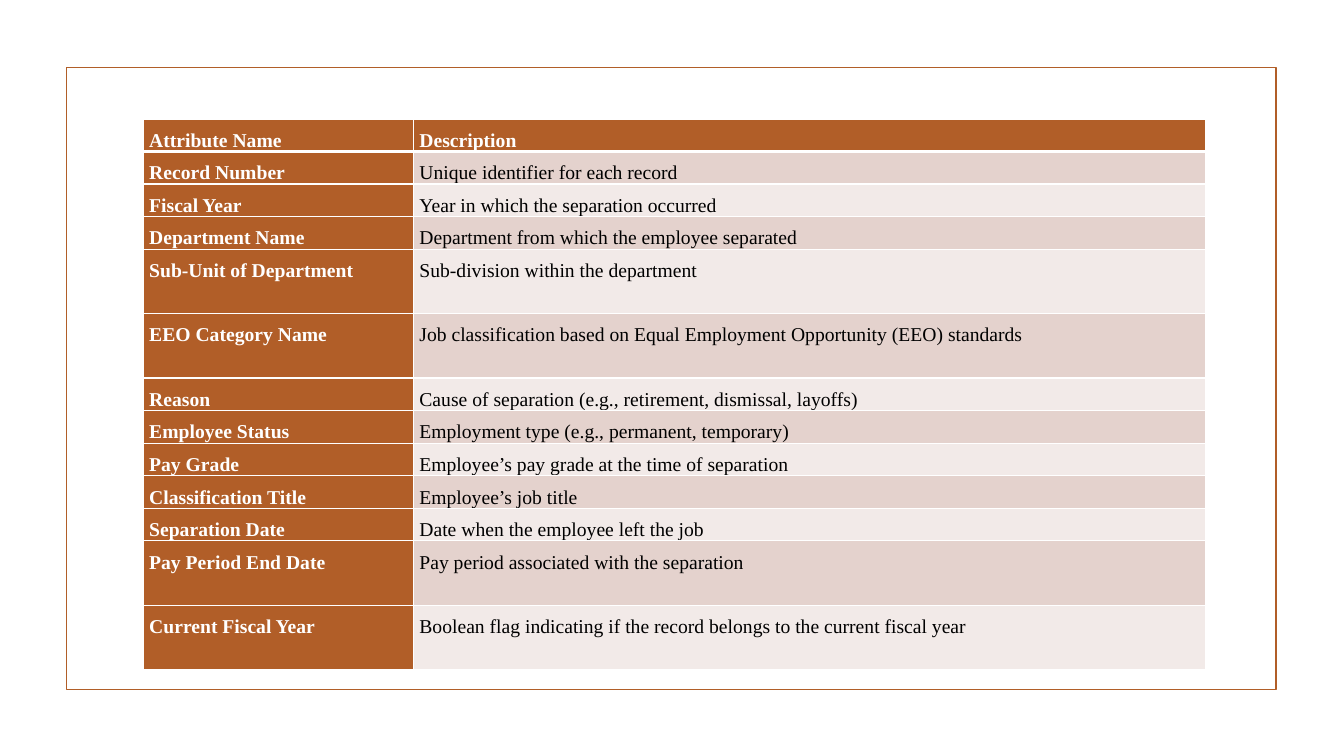
from typing import NamedTuple

from lxml.etree import SubElement
from pptx import Presentation
from pptx.dml.color import RGBColor
from pptx.enum.shapes import MSO_SHAPE
from pptx.oxml.ns import qn
from pptx.slide import Slide
from pptx.table import _Cell
from pptx.util import Inches, Pt

RUST, WHITE, BLACK = "B15E28", "FFFFFF", "000000"
BANDS = ("F2EAE8", "E4D2CD")
SHORT_ROW, TALL_ROW = 0.3, 0.64
COLUMN_WIDTHS = (2.68, 7.86)


class Attribute(NamedTuple):
    name: str
    description: str
    height: float = SHORT_ROW


ATTRIBUTES = [
    Attribute("Attribute Name", "Description"),
    Attribute("Record Number", "Unique identifier for each record"),
    Attribute("Fiscal Year", "Year in which the separation occurred"),
    Attribute("Department Name", "Department from which the employee separated"),
    Attribute("Sub-Unit of Department", "Sub-division within the department", TALL_ROW),
    Attribute("EEO Category Name",
              "Job classification based on Equal Employment Opportunity (EEO) standards", TALL_ROW),
    Attribute("Reason", "Cause of separation (e.g., retirement, dismissal, layoffs)"),
    Attribute("Employee Status", "Employment type (e.g., permanent, temporary)"),
    Attribute("Pay Grade", "Employee’s pay grade at the time of separation"),
    Attribute("Classification Title", "Employee’s job title"),
    Attribute("Separation Date", "Date when the employee left the job"),
    Attribute("Pay Period End Date", "Pay period associated with the separation", TALL_ROW),
    Attribute("Current Fiscal Year",
              "Boolean flag indicating if the record belongs to the current fiscal year", TALL_ROW),
]


def rgb(color: str) -> RGBColor:
    return RGBColor.from_string(color)


def add_frame(slide: Slide) -> None:
    sp = slide.shapes.add_shape(MSO_SHAPE.RECTANGLE, Inches(0.66), Inches(0.67),
                                Inches(12), Inches(6.17))
    sp.shadow.inherit = False
    sp.fill.background()
    sp.line.color.rgb = rgb(RUST)
    sp.line.width = Pt(1.25)


def set_borders(cell: _Cell, top: float, bottom: float) -> None:
    """Draw white borders; top and bottom widths are in points."""
    tc_pr = cell._tc.get_or_add_tcPr()
    for side, width in (("L", 1), ("R", 1), ("T", top), ("B", bottom)):
        ln = SubElement(tc_pr, qn(f"a:ln{side}"), w=str(Pt(width)))
        fill = SubElement(ln, qn("a:solidFill"))
        SubElement(fill, qn("a:srgbClr"), val=WHITE)


def format_cell(cell: _Cell, text: str, row: int, strong: bool) -> None:
    set_borders(cell, top=3 if row == 1 else 1, bottom=3 if row == 0 else 1)
    cell.fill.solid()
    cell.fill.fore_color.rgb = rgb(RUST if strong else BANDS[row % 2])
    cell.margin_left = cell.margin_right = Inches(0.06)
    cell.margin_top = cell.margin_bottom = 0
    p = cell.text_frame.paragraphs[0]
    p.text = text
    p.line_spacing = 1.5
    p.font.name = "Times New Roman"
    p.font.size = Pt(14)
    p.font.bold = strong
    p.font.color.rgb = rgb(WHITE if strong else BLACK)


def add_attribute_table(slide: Slide) -> None:
    height = sum(attribute.height for attribute in ATTRIBUTES)
    table = slide.shapes.add_table(
        len(ATTRIBUTES), len(COLUMN_WIDTHS), Inches(1.42), Inches(1.18),
        Inches(sum(COLUMN_WIDTHS)), Inches(height)).table
    table.first_col = True
    for column, width in zip(table.columns, COLUMN_WIDTHS):
        column.width = Inches(width)
    for row, attribute in enumerate(ATTRIBUTES):
        table.rows[row].height = Inches(attribute.height)
        for col, text in enumerate((attribute.name, attribute.description)):
            format_cell(table.cell(row, col), text, row, strong=row == 0 or col == 0)


def main() -> None:
    prs = Presentation()
    prs.slide_width, prs.slide_height = Inches(13.33), Inches(7.5)
    slide = prs.slides.add_slide(prs.slide_layouts[6])
    add_frame(slide)
    add_attribute_table(slide)
    prs.save("out.pptx")


if __name__ == "__main__":
    main()
